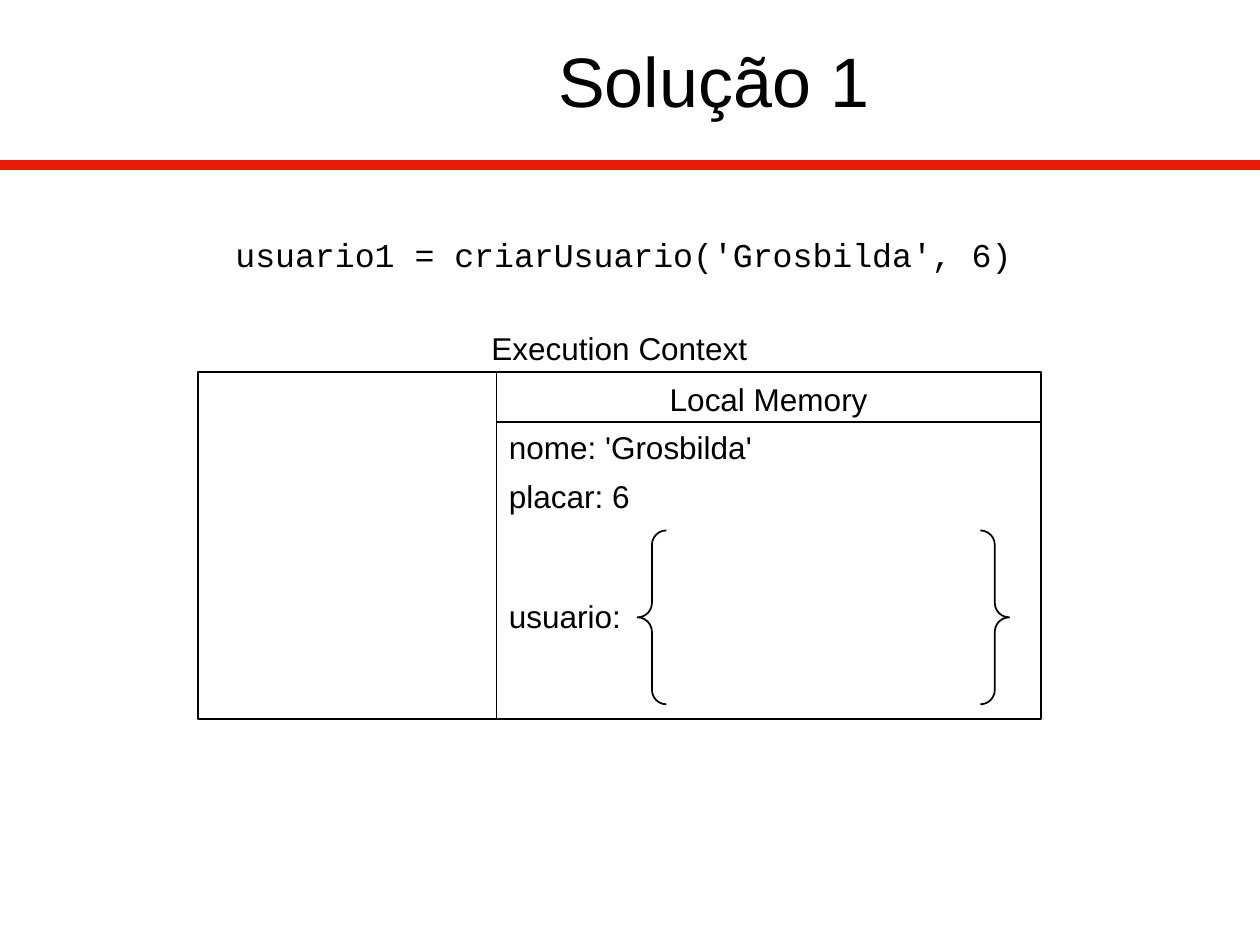
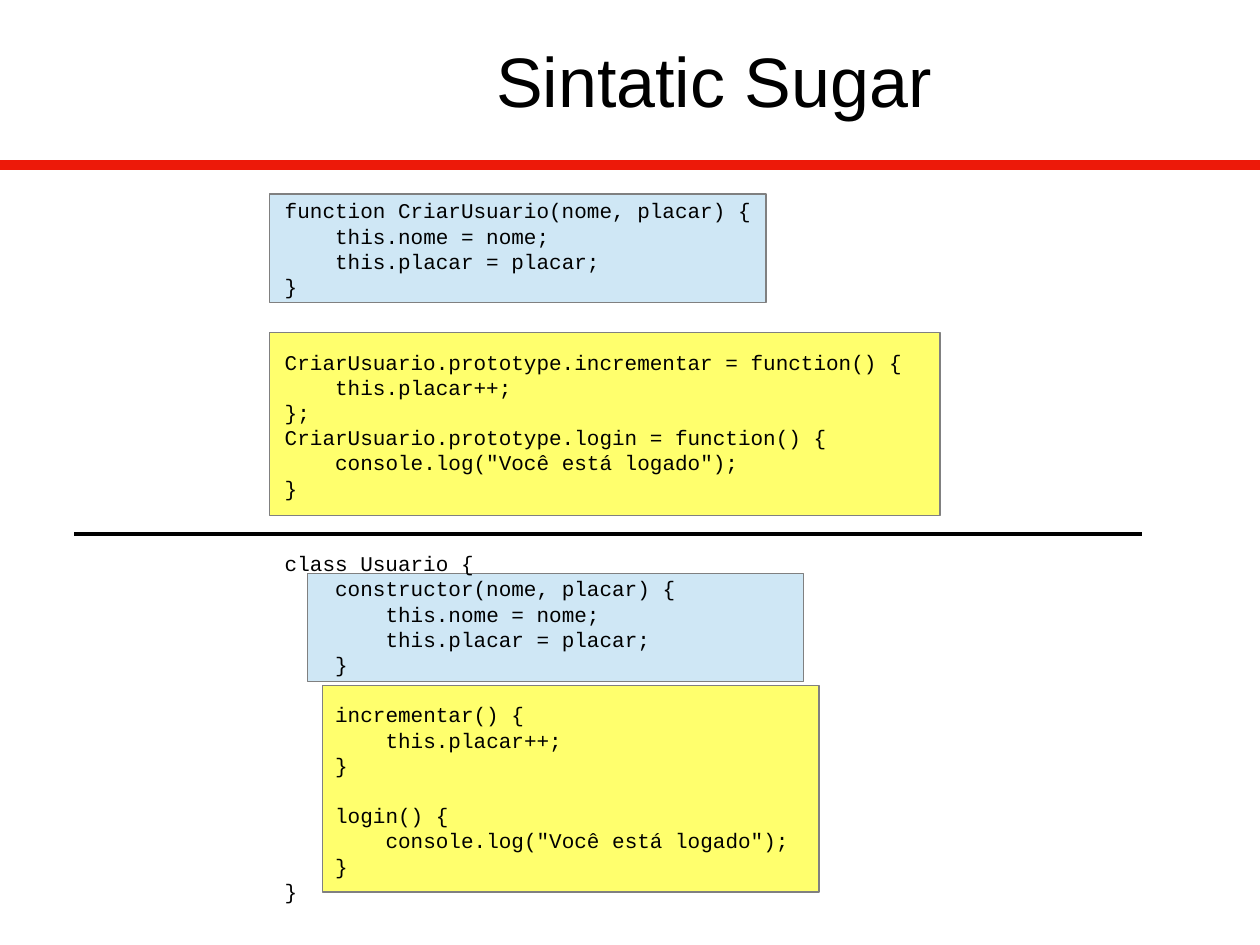
import pptx
import pptx.dml.color
import pptx.enum.shapes
import pptx.enum.text
import pptx.oxml.ns
import pptx.util
from lxml import etree

Inches = pptx.util.Inches
Pt = pptx.util.Pt
RGBColor = pptx.dml.color.RGBColor
Shape = pptx.enum.shapes.MSO_SHAPE
Align = pptx.enum.text.PP_ALIGN
Anchor = pptx.enum.text.MSO_ANCHOR
qn = pptx.oxml.ns.qn

BLACK = RGBColor(0x00, 0x00, 0x00)
RED = RGBColor(0xED, 0x19, 0x09)
GREY = RGBColor(0x80, 0x80, 0x80)
YELLOW = RGBColor(0xFF, 0xFF, 0x6D)
BLUE = RGBColor(0xCF, 0xE7, 0xF5)

SANS, MONO = "Arial", "Courier New"
TITLE_ONLY, TITLE_AND_BODY = 5, 1
CODE_PITCH = 14.4     # points from one code line to the next
CHARACTER = 0.1       # inches taken by one 12 pt code character

SUGAR_CODE = """\
function CriarUsuario(nome, placar) {
    this.nome = nome;
    this.placar = placar;
}


CriarUsuario.prototype.incrementar = function() {
    this.placar++;
};
CriarUsuario.prototype.login = function() {
    console.log("Você está logado");
}


class Usuario {
    constructor(nome, placar) {
        this.nome = nome;
        this.placar = placar;
    }

    incrementar() {
        this.placar++;
    }

    login() {
        console.log("Você está logado");
    }
}"""


def write(paragraph, text, font=SANS, size=18, align=Align.LEFT, pitch=None,
          before=0, indent=0):
    """Put text in a paragraph; pitch and before in points, indent in inches."""
    run = paragraph.add_run()
    run.text = text
    run.font.name, run.font.size = font, Pt(size)
    run.font.color.rgb = BLACK
    paragraph.alignment = align
    paragraph.space_before = Pt(before)
    if pitch:
        paragraph.line_spacing = Pt(pitch)
    properties = paragraph._p.get_or_add_pPr()
    properties.set("marL", str(Inches(indent)))
    properties.set("indent", "0")
    etree.SubElement(properties, qn("a:buNone"))


class Deck:
    """Holds the shared style and the slide being drawn."""

    def __init__(self):
        self.presentation = pptx.Presentation()
        self.presentation.slide_width = Inches(10)
        self.presentation.slide_height = Inches(7.5)
        self.slide = None

    def new_slide(self, title, layout):
        layouts = self.presentation.slide_layouts
        self.slide = self.presentation.slides.add_slide(layouts[layout])
        self.line(0, 1.31, 10, 1.31, RED, 6)
        heading = self.place(self.slide.shapes.title, 1.53, -0.09, 8.27, 1.44)
        heading.vertical_anchor = Anchor.MIDDLE
        write(heading.paragraphs[0], title, size=40, align=Align.CENTER)

    def place(self, holder, left, top, width, height):
        """Move a placeholder and bring it to the front."""
        holder.left, holder.top = Inches(left), Inches(top)
        holder.width, holder.height = Inches(width), Inches(height)
        self.slide.shapes._spTree.append(holder._element)
        holder.text_frame.auto_size = pptx.enum.text.MSO_AUTO_SIZE.NONE
        return holder.text_frame

    def line(self, x1, y1, x2, y2, color=BLACK, weight=1):
        rule = self.slide.shapes.add_connector(
            pptx.enum.shapes.MSO_CONNECTOR.STRAIGHT,
            Inches(x1), Inches(y1), Inches(x2), Inches(y2))
        rule.line.color.rgb, rule.line.width = color, Pt(weight)
        etree.SubElement(rule._element.spPr, qn("a:effectLst"))

    def shape(self, kind, left, top, width, height, fill=None, color=BLACK, weight=1):
        outline = self.slide.shapes.add_shape(
            kind, Inches(left), Inches(top), Inches(width), Inches(height))
        outline.shadow.inherit = False
        outline.line.color.rgb, outline.line.width = color, Pt(weight)
        if fill is None:
            outline.fill.background()
        else:
            outline.fill.solid()
            outline.fill.fore_color.rgb = fill
        return outline

    def text(self, text, left, top, width, height=0.4, **style):
        box = self.slide.shapes.add_textbox(
            Inches(left), Inches(top), Inches(width), Inches(height))
        box.text_frame.word_wrap = True
        write(box.text_frame.paragraphs[0], text, **style)

    def code(self, source, left, top, width, height):
        """Fill the body: leading spaces become indents, blank lines spacing."""
        frame = self.place(self.slide.placeholders[1], left, top, width, height)
        frame.vertical_anchor = Anchor.TOP
        paragraph, blanks = frame.paragraphs[0], 0
        for row in source.splitlines():
            if not row:
                blanks += 1
                continue
            if paragraph.runs:
                paragraph = frame.add_paragraph()
            statement = row.lstrip()
            write(paragraph, statement, font=MONO, size=12, pitch=CODE_PITCH,
                  before=blanks * CODE_PITCH,
                  indent=(len(row) - len(statement)) * CHARACTER)
            blanks = 0


def draw_execution_context(deck):
    deck.new_slide("Solução 1", TITLE_ONLY)
    deck.text("usuario1 = criarUsuario('Grosbilda', 6)", 1.77, 1.81, 7.09, 0.42,
              font=MONO, size=19)

    # Context frame, with the local memory in its right column
    left, top, width, height = 1.57, 2.95, 6.69, 2.76
    memory_left, memory_top = 3.94, 3.35
    right = left + width
    deck.line(memory_left, top, memory_left, top + height)
    deck.line(memory_left, memory_top, right, memory_top)
    deck.text("Execution Context", left, 2.56, width, align=Align.CENTER)
    deck.text("Local Memory", memory_left, 2.97, right - memory_left,
              align=Align.CENTER)

    # Variables
    for variable, variable_top in (("nome: 'Grosbilda'", memory_top),
                                   ("placar: 6", 3.74), ("usuario:", 4.69)):
        deck.text(variable, memory_left, variable_top, 2.36)
    deck.shape(Shape.RECTANGLE, left, top, width, height)
    user_object = deck.shape(Shape.DOUBLE_BRACE, 5.06, 4.21, 2.95, 1.38)
    user_object.adjustments[0] = 0.083


def draw_syntactic_sugar(deck):
    deck.new_slide("Sintatic Sugar", TITLE_AND_BODY)

    # Matching parts share a colour: methods yellow, constructors blue
    for fill, *area in ((YELLOW, 2.56, 5.44, 3.94, 1.64),
                        (YELLOW, 2.14, 2.64, 5.32, 1.45),
                        (BLUE, 2.44, 4.55, 3.94, 0.86),
                        (BLUE, 2.14, 1.54, 3.94, 0.86)):
        deck.shape(Shape.RECTANGLE, *area, fill=fill, color=GREY, weight=0)

    # Both versions of the code, parted by a rule
    deck.code(SUGAR_CODE, 2.16, 1.52, 5.51, 5.86)
    deck.line(0.59, 4.24, 9.06, 4.24, weight=0)


def main():
    deck = Deck()
    draw_execution_context(deck)
    draw_syntactic_sugar(deck)
    deck.presentation.save("out.pptx")


if __name__ == "__main__":
    main()
